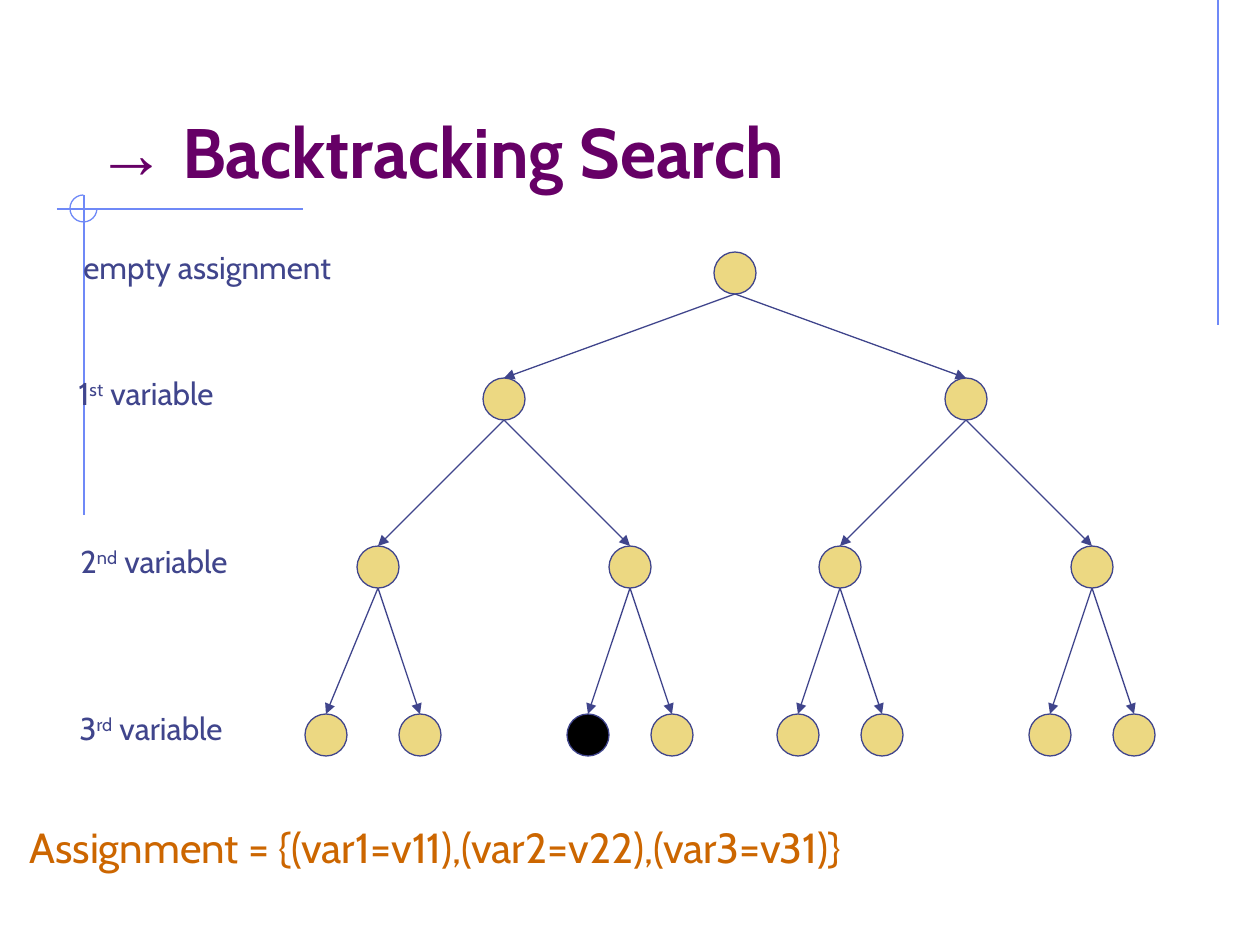
from dataclasses import dataclass

from lxml.etree import SubElement
from pptx import Presentation
from pptx.dml.color import RGBColor
from pptx.enum.shapes import MSO_CONNECTOR, MSO_SHAPE
from pptx.enum.text import MSO_ANCHOR
from pptx.oxml.ns import qn
from pptx.util import Emu, Pt

EMU_PER_PX = 914400 / 126


@dataclass(frozen=True)
class Theme:
    font: str = "Cabin"
    symbol_font: str = "Arial"
    title: str = "660066"
    ink: str = "40458C"
    accent: str = "CC6600"
    frame: str = "6F89F7"
    node: str = "ECD882"
    current: str = "000000"
    title_size: int = 40
    label_size: int = 18
    result_size: int = 24
    line_width: float = 0.75


THEME = Theme()

# Search tree: top of each level and the node centres on it
NODE_SIZE = 42
LEVELS = [
    (252, [735]),
    (378, [504, 966]),
    (546, [378, 630, 840, 1092]),
    (714, [326, 420, 588, 672, 798, 882, 1050, 1134]),
]
CURRENT_NODE = (3, 2)

# Level labels: left, top, text before, superscript, text after
LABELS = [
    (71, 242, "empty assignment", "", ""),
    (66, 368, "1", "st", " variable"),
    (68, 536, "2", "nd", " variable"),
    (67, 703, "3", "rd", " variable"),
]


def px(n):
    return Emu(round(n * EMU_PER_PX))


def rgb(color):
    return RGBColor.from_string(color)


def set_line(sp, color):
    sp.line.color.rgb = rgb(color)
    sp.line.width = Pt(THEME.line_width)


def add_line(slide, x1, y1, x2, y2, color, arrow=False):
    cxn = slide.shapes.add_connector(
        MSO_CONNECTOR.STRAIGHT, px(x1), px(y1), px(x2), px(y2))
    set_line(cxn, color)
    if arrow:
        SubElement(cxn.line._get_or_add_ln(), qn("a:tailEnd"), type="triangle")
    SubElement(cxn._element.spPr, qn("a:effectLst"))


def add_text(slide, x, y, w, h, anchor=MSO_ANCHOR.TOP):
    tf = slide.shapes.add_textbox(px(x), px(y), px(w), px(h)).text_frame
    tf.word_wrap = True
    tf.vertical_anchor = anchor
    return tf.paragraphs[0]


def add_run(p, text, size, color, font=THEME.font, bold=False, superscript=False):
    r = p.add_run()
    r.text = text
    r.font.name = font
    r.font.size = Pt(size)
    r.font.bold = bold
    r.font.color.rgb = rgb(color)
    if superscript:
        r._r.get_or_add_rPr().set("baseline", "30000")


def add_node(slide, cx, top, fill):
    sp = slide.shapes.add_shape(
        MSO_SHAPE.OVAL, px(cx - NODE_SIZE / 2), px(top), px(NODE_SIZE), px(NODE_SIZE))
    sp.shadow.inherit = False
    sp.fill.solid()
    sp.fill.fore_color.rgb = rgb(fill)
    set_line(sp, THEME.ink)


def add_frame(slide):
    for ends in [(1218, 0, 1218, 325), (57, 209, 303, 209), (84, 195, 84, 515)]:
        add_line(slide, *ends, THEME.frame)
    # Three-quarter circle where the lines cross
    arc = slide.shapes.add_shape(MSO_SHAPE.ARC, px(70), px(195), px(27), px(27))
    arc.shadow.inherit = False
    arc.adjustments[0] = 0
    arc.adjustments[1] = 270 * 60000 / 100000
    arc.fill.background()
    set_line(arc, THEME.frame)


def add_tree(slide):
    for level, (top, centres) in enumerate(LEVELS):
        for i, cx in enumerate(centres):
            if level:
                parent_top, parents = LEVELS[level - 1]
                add_line(slide, parents[i // 2], parent_top + NODE_SIZE,
                         cx, top, THEME.ink, arrow=True)
            is_current = (level, i) == CURRENT_NODE
            add_node(slide, cx, top, THEME.current if is_current else THEME.node)


def add_labels(slide):
    for x, y, before, raised, after in LABELS:
        p = add_text(slide, x, y, 300, 50)
        add_run(p, before, THEME.label_size, THEME.ink)
        if raised:
            add_run(p, raised, THEME.label_size, THEME.ink, superscript=True)
            add_run(p, after, THEME.label_size, THEME.ink)


def main():
    prs = Presentation()
    prs.slide_width, prs.slide_height = px(1260), px(945)
    slide = prs.slides.add_slide(prs.slide_layouts[6])

    add_frame(slide)

    # Title
    p = add_text(slide, 84, 42, 1071, 157, anchor=MSO_ANCHOR.BOTTOM)
    add_run(p, "→", THEME.title_size, THEME.title, font=THEME.symbol_font, bold=True)
    add_run(p, " Backtracking Search", THEME.title_size, THEME.title, bold=True)

    add_tree(slide)
    add_labels(slide)

    # Resulting assignment
    p = add_text(slide, 17, 815, 1213, 63)
    add_run(p, "Assignment = {(var1=v11),(var2=v22),(var3=v31)}",
            THEME.result_size, THEME.accent)

    prs.save("out.pptx")


if __name__ == "__main__":
    main()
